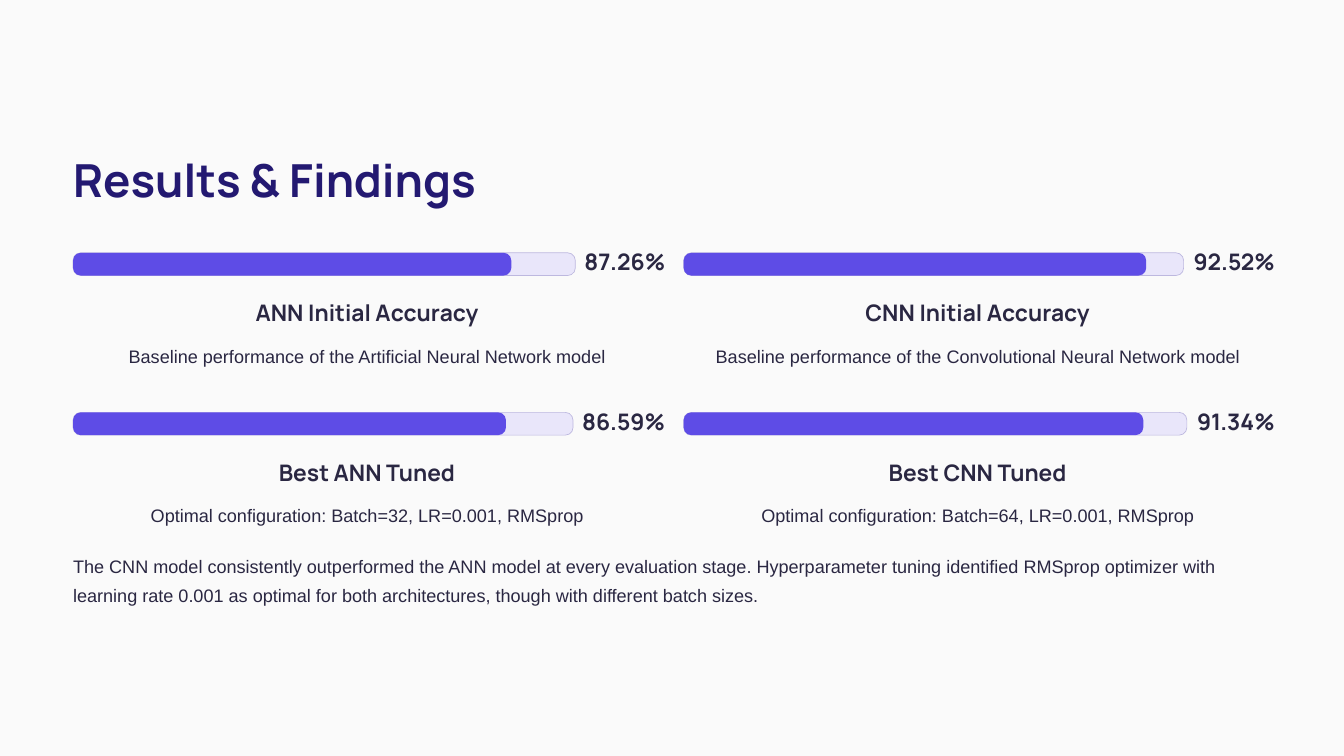
from pptx import Presentation
from pptx.dml.color import RGBColor
from pptx.enum.shapes import MSO_SHAPE
from pptx.enum.text import MSO_ANCHOR, MSO_AUTO_SIZE, PP_ALIGN
from pptx.util import Pt

INK, TITLE_INK = "2A2742", "231971"
BAR, TRACK, TRACK_LINE = "5E4CE6", "E9E6FA", "BDB8DF"
MARGIN = 62.64
CARD_WIDTH, CARD_HEIGHT = 504, 124
COLUMN_PITCH, ROW_PITCH = 523.4, 136.8
CARDS_TOP = 216.7
BAR_HEIGHT, BAR_RADIUS, VALUE_GAP = 19.5, 0.336, 11.5

RESULTS = [
    (87.26, 62, "ANN Initial Accuracy",
     "Baseline performance of the Artificial Neural Network model"),
    (92.52, 64, "CNN Initial Accuracy",
     "Baseline performance of the Convolutional Neural Network model"),
    (86.59, 64, "Best ANN Tuned",
     "Optimal configuration: Batch=32, LR=0.001, RMSprop"),
    (91.34, 61.2, "Best CNN Tuned",
     "Optimal configuration: Batch=64, LR=0.001, RMSprop"),
]
SUMMARY = (
    "The CNN model consistently outperformed the ANN model at every evaluation "
    "stage. Hyperparameter tuning identified RMSprop optimizer with learning rate "
    "0.001 as optimal for both architectures, though with different batch sizes."
)


def color(hex_string):
    """Return the colour for a hex string."""
    return RGBColor.from_string(hex_string)


def write(shape, text, size, spacing, font="Arial", ink=INK, bold=False,
          align=PP_ALIGN.LEFT, wrap=True):
    """Fill a shape with one formatted paragraph."""
    frame = shape.text_frame
    frame.text = text
    frame.auto_size = MSO_AUTO_SIZE.NONE
    frame.word_wrap = wrap
    frame.vertical_anchor = MSO_ANCHOR.TOP
    frame.margin_left = frame.margin_right = frame.margin_top = frame.margin_bottom = 0
    paragraph = frame.paragraphs[0]
    paragraph.alignment = align
    paragraph.line_spacing = Pt(spacing)
    run_font = paragraph.runs[0].font
    run_font.name, run_font.size, run_font.bold = font, Pt(size), bold
    run_font.color.rgb = color(ink)


def add_text(slide, left, top, width, height, text, size, spacing, **style):
    """Add a text box with one paragraph."""
    box = slide.shapes.add_textbox(Pt(left), Pt(top), Pt(width), Pt(height))
    write(box, text, size, spacing, **style)


def add_bar(slide, left, top, width, fill, line=None):
    """Add a rounded bar."""
    bar = slide.shapes.add_shape(
        MSO_SHAPE.ROUNDED_RECTANGLE, Pt(left), Pt(top), Pt(width), Pt(BAR_HEIGHT))
    bar.adjustments[0] = BAR_RADIUS
    bar.shadow.inherit = False
    bar.fill.solid()
    bar.fill.fore_color.rgb = color(fill)
    if line:
        bar.line.color.rgb = color(line)
        bar.line.width = Pt(0.6)
    else:
        bar.line.fill.background()


def add_title(slide, left, top, width, height):
    """Place the slide title."""
    title = slide.shapes.title
    title.left, title.top, title.width, title.height = map(Pt, (left, top, width, height))
    write(title, "Results & Findings", 39, 48.5, font="Manrope", ink=TITLE_INK, bold=True)


def add_result(slide, left, top, width, value, value_width, heading, detail):
    """Add a progress bar with its value, heading and detail."""
    track_width = width - value_width - VALUE_GAP
    strong = {"font": "Manrope", "bold": True, "align": PP_ALIGN.CENTER, "wrap": False}
    add_bar(slide, left, top, track_width, TRACK, TRACK_LINE)
    add_bar(slide, left, top, track_width * value / 100, BAR)
    add_text(slide, left + width - value_width, top, value_width, BAR_HEIGHT,
             f"{value:.2f}%", 19.5, 19.5, **strong)
    add_text(slide, left, top + 38.9, width, 24.5, heading, 19.5, 24, **strong)
    add_text(slide, left, top + 72.7, width, 25.2, detail, 15.5, 25,
             align=PP_ALIGN.CENTER, wrap=False)


def add_results(slide, left, top):
    """Lay the results out in two columns."""
    for index, result in enumerate(RESULTS):
        row, column = divmod(index, 2)
        add_result(slide, left + column * COLUMN_PITCH, top + row * ROW_PITCH,
                   CARD_WIDTH, *result)


def main():
    """Build and save the presentation."""
    presentation = Presentation()
    presentation.slide_width, presentation.slide_height = Pt(1152), Pt(648)
    slide = presentation.slides.add_slide(presentation.slide_layouts[5])
    slide.background.fill.solid()
    slide.background.fill.fore_color.rgb = color("FAFAFA")
    add_title(slide, MARGIN, 128.9, 391, 49)
    add_results(slide, MARGIN, CARDS_TOP)
    add_text(slide, MARGIN, 469.4, 1026.7, 49.7, SUMMARY, 15.5, 25)
    presentation.save("out.pptx")


if __name__ == "__main__":
    main()
